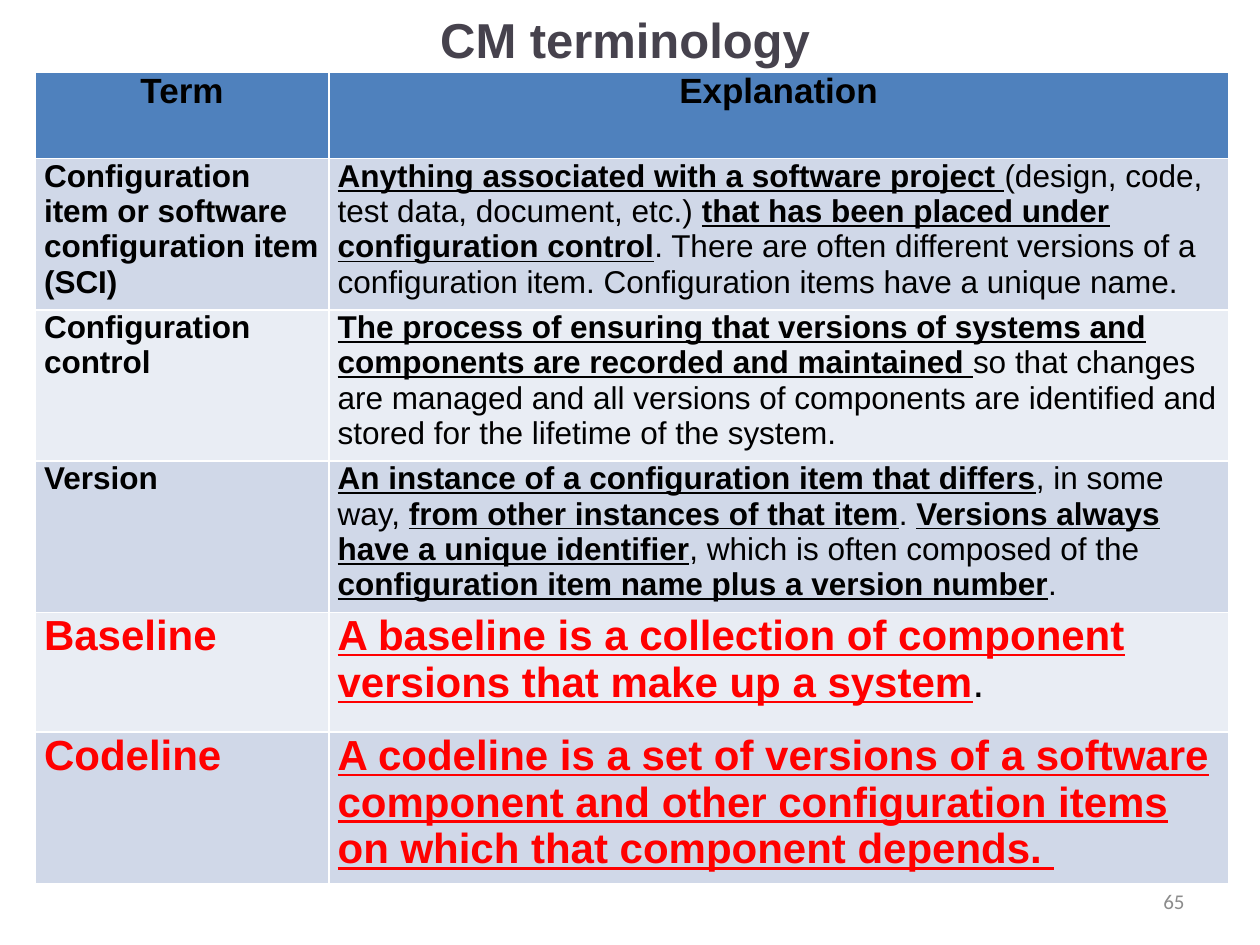
"""Build the slide of configuration management terminology."""
import pptx
import pptx.dml.color
import pptx.enum.text
import pptx.util
from dataclasses import dataclass

TITLE = "CM terminology "
PAGE_NUMBER = "65"
HEADER = ("Term", "Explanation")
TERMS = [
    ("Configuration item or software configuration item (SCI)",
     "*Anything associated with a software project *(design, code, test data, document, etc.) "
     "*that has been placed under configuration control*. There are often different versions "
     "of a configuration item. Configuration items have a unique name."),
    ("Configuration control",
     "*The process of ensuring that versions of systems and components are recorded and "
     "maintained *so that changes are managed and all versions of components are identified "
     "and stored for the lifetime of the system."),
    ("Version",
     "*An instance of a configuration item that differs*, in some way, *from other instances "
     "of that item*. *Versions always have a unique identifier*, which is often composed of "
     "the *configuration item name plus a version number*."),
]
KEY_TERMS = [
    ("Baseline", "*A baseline is a collection of component versions that make up a system*."),
    ("Codeline ", "*A codeline is a set of versions of a software component and other "
                  "configuration items on which that component depends. *"),
]
WIDTH, HEIGHT = 10, 7.5
LEFT, TOP = 0.28, 0.57
COLUMNS = (2.33, 7.14)
ROWS = (0.69, 1.19, 1.19, 1.19, 0.95, 0.79)


@dataclass(frozen=True)
class Theme:
    font: str = "Arial"
    number_font: str = "Calibri"
    title: str = "46424D"
    ink: str = "000000"
    key: str = "FF0000"
    muted: str = "8C8C8C"
    header_fill: str = "4F81BD"
    band_fills: tuple = ("D0D8E8", "E9EDF4")
    title_size: int = 28
    header_size: int = 20
    body_size: int = 18
    key_size: int = 24
    number_size: int = 12


THEME = Theme()
ALIGN = pptx.enum.text.PP_ALIGN
MIDDLE = pptx.enum.text.MSO_ANCHOR.MIDDLE
Inches = pptx.util.Inches


def rgb(value):
    """Return a colour from its hex value."""
    return pptx.dml.color.RGBColor.from_string(value)


def write(frame, text, *, size, color=THEME.ink, plain_color=None, font=THEME.font,
          bold=False, align=ALIGN.LEFT, after=0):
    """Write text into a frame, with parts between asterisks bold and underlined."""
    frame.word_wrap = True
    para = frame.paragraphs[0]
    para.alignment = align
    para.space_after = pptx.util.Pt(after)
    for index, part in enumerate(text.split("*")):
        if not part:
            continue
        strong = index % 2 == 1
        span = para.add_run()
        span.text = part
        span.font.name = font
        span.font.size = pptx.util.Pt(size)
        span.font.bold = bold or strong
        span.font.underline = strong
        span.font.color.rgb = rgb(color if strong else plain_color or color)


def add_text(page, area, text, **style):
    """Add a vertically centred text box."""
    box = page.shapes.add_textbox(*map(Inches, area))
    box.text_frame.vertical_anchor = MIDDLE
    write(box.text_frame, text, **style)


def add_terms(page):
    """Add the table of terms with its header and banded rows."""
    records = [HEADER, *TERMS, *KEY_TERMS]
    table = page.shapes.add_table(len(records), len(COLUMNS), Inches(LEFT), Inches(TOP),
                                  Inches(sum(COLUMNS)), Inches(sum(ROWS))).table
    for column, width in zip(table.columns, COLUMNS):
        column.width = Inches(width)
    for number, (row, height, record) in enumerate(zip(table.rows, ROWS, records)):
        row.height = Inches(height)
        fill = THEME.band_fills[(number - 1) % 2] if number else THEME.header_fill
        style = {"size": THEME.body_size}
        if record is HEADER:
            style = {"size": THEME.header_size, "bold": True, "align": ALIGN.CENTER}
        elif record in KEY_TERMS:
            style = {"size": THEME.key_size, "color": THEME.key}
        for place, (cell, text) in enumerate(zip(row.cells, record)):
            cell.fill.solid()
            cell.fill.fore_color.rgb = rgb(fill)
            cell.margin_left = cell.margin_right = Inches(0.07)
            cell.margin_top = cell.margin_bottom = 0
            extra = {"plain_color": THEME.ink} if place else {"bold": True}
            if place == 0 and number > 1:
                extra["align"] = ALIGN.JUSTIFY
            write(cell.text_frame, text, after=2, **{**style, **extra})


def main():
    """Create and save the deck."""
    deck = pptx.Presentation()
    deck.slide_width, deck.slide_height = Inches(WIDTH), Inches(HEIGHT)
    page = deck.slides.add_slide(deck.slide_layouts[6])
    add_text(page, (LEFT, 0.03, sum(COLUMNS), 0.55), TITLE, size=THEME.title_size,
             color=THEME.title, bold=True, align=ALIGN.CENTER)
    add_terms(page)
    add_text(page, (7.17, 6.95, COLUMNS[0], 0.4), PAGE_NUMBER, size=THEME.number_size,
             color=THEME.muted, font=THEME.number_font, align=ALIGN.RIGHT)
    deck.save("out.pptx")


if __name__ == "__main__":
    main()
